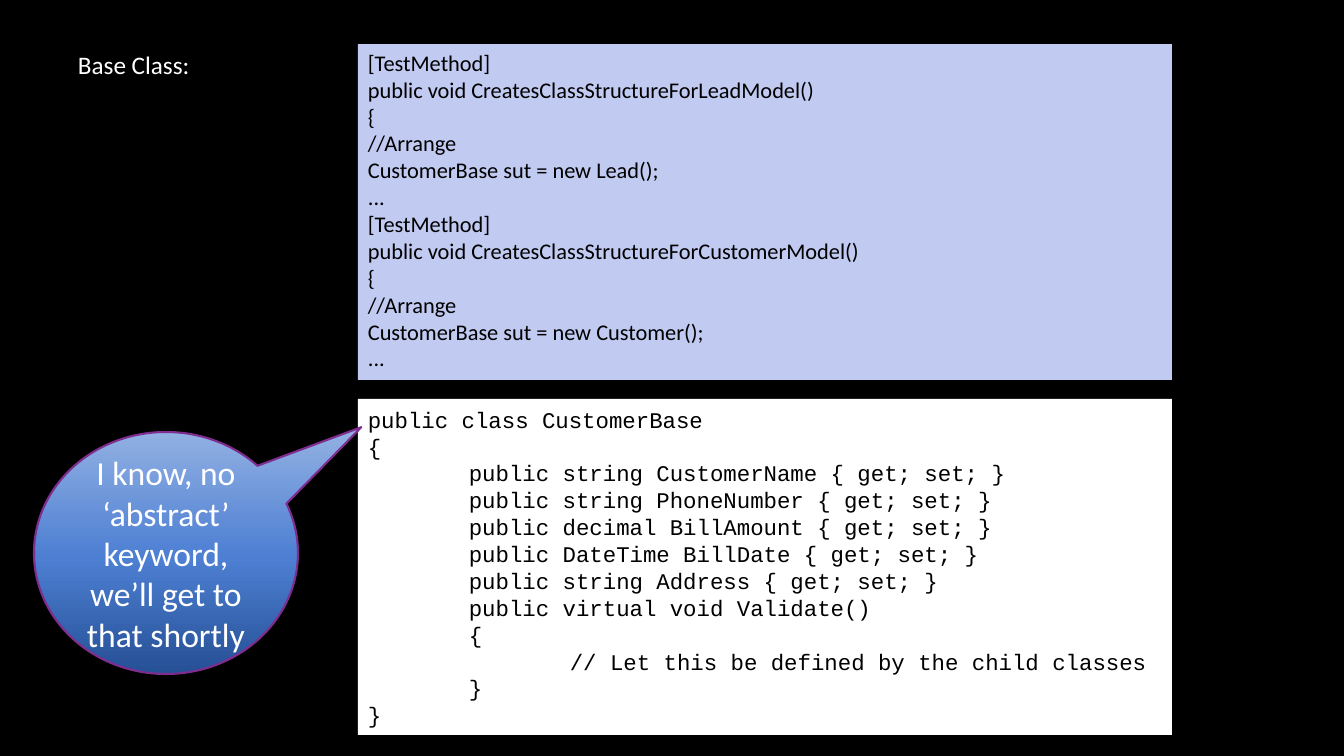
import copy
import lxml.etree
import pptx
import pptx.util
import pptx.dml.color
import pptx.enum.shapes
import pptx.enum.text
import pptx.oxml.ns

KIND = pptx.enum.shapes.MSO_SHAPE
ANCHOR = pptx.enum.text.MSO_ANCHOR
ALIGN = pptx.enum.text.PP_ALIGN
FIT = pptx.enum.text.MSO_AUTO_SIZE

SLIDE = (1344, 756)
LABEL = "Base Class:"
NOTE = "I know, no ‘abstract’ keyword, we’ll get to that shortly"
TESTS = """[TestMethod]
public void CreatesClassStructureForLeadModel()
{
//Arrange
CustomerBase sut = new Lead();
...
[TestMethod]
public void CreatesClassStructureForCustomerModel()
{
//Arrange
CustomerBase sut = new Customer();
..."""
CODE = """public class CustomerBase
{
\tpublic string CustomerName { get; set; }
\tpublic string PhoneNumber { get; set; }
\tpublic decimal BillAmount { get; set; }
\tpublic DateTime BillDate { get; set; }
\tpublic string Address { get; set; }
\tpublic virtual void Validate()
\t{
\t\t// Let this be defined by the child classes
\t}
}"""
LEFT, TOP, WIDE, HIGH, GAP = 358, 44, 814, 336, 19
TABS = (101, 202)
PANELS = [
    (CODE, TOP + HIGH + GAP, "FFFFFF", "Courier New", ANCHOR.MIDDLE),
    (TESTS, TOP, "C1CAF1", "Calibri", ANCHOR.TOP),
]
BLUES = [(0, "265096"), (0.48, "4D7FD2"), (1, "91B0E3")]


def px(count):
    return pptx.util.Emu(round(count * 914400 / 100.8))


def color(code):
    return pptx.dml.color.RGBColor.from_string(code)


def write(shape, text, size, face, ink, align=ALIGN.LEFT):
    frame = shape.text_frame
    frame.text = text
    for line in frame.paragraphs:
        line.alignment = align
        if "\t" in line.text:
            indent(line)
        for run in line.runs:
            run.font.size = pptx.util.Pt(size)
            run.font.name = face
            run.font.color.rgb = color(ink)
    return frame


def indent(line):
    name = pptx.oxml.ns.qn
    tabs = lxml.etree.SubElement(line._p.get_or_add_pPr(), name("a:tabLst"))
    for spot in TABS:
        lxml.etree.SubElement(tabs, name("a:tab"), pos=str(int(px(spot))), algn="l")


def add(slide, kind, *place):
    shape = slide.shapes.add_shape(kind, *map(px, place))
    shape.shadow.inherit = False
    return shape


def panel(slide, text, top, fill, face, anchor):
    box = add(slide, KIND.RECTANGLE, LEFT, top, WIDE, HIGH)
    box.fill.solid()
    box.fill.fore_color.rgb = color(fill)
    box.line.fill.background()
    frame = write(box, text, 16, face, "000000")
    frame.word_wrap = True
    frame.auto_size = FIT.SHAPE_TO_FIT_TEXT
    frame.vertical_anchor = anchor


def label(slide):
    box = slide.shapes.add_textbox(*map(px, (68, TOP, 133, 40)))
    frame = write(box, LABEL, 18, "Calibri", "FFFFFF")
    frame.word_wrap = False
    frame.auto_size = FIT.SHAPE_TO_FIT_TEXT


def bubble(slide):
    shape = add(slide, KIND.OVAL_CALLOUT, 34, 432, 264, 242)
    shape.adjustments[0] = 0.74
    shape.adjustments[1] = -0.52
    shape.fill.gradient()
    shape.fill.gradient_angle = 90
    stops = shape.element.spPr.find(".//" + pptx.oxml.ns.qn("a:gsLst"))
    stops.append(copy.deepcopy(stops[0]))
    for stop, (spot, blue) in zip(shape.fill.gradient_stops, BLUES):
        stop.position = spot
        stop.color.rgb = color(blue)
    shape.line.color.rgb = color("7F2E8F")
    shape.line.width = pptx.util.Pt(1.5)
    frame = write(shape, NOTE, 24, "Calibri", "FFFFFF", ALIGN.CENTER)
    frame.word_wrap = True
    frame.vertical_anchor = ANCHOR.MIDDLE


def main():
    """Build the base class slide and save it."""
    deck = pptx.Presentation()
    deck.slide_width, deck.slide_height = map(px, SLIDE)
    slide = deck.slides.add_slide(deck.slide_layouts[6])
    slide.background.fill.solid()
    slide.background.fill.fore_color.rgb = color("000000")
    code, tests = PANELS
    panel(slide, *code)
    label(slide)
    bubble(slide)
    panel(slide, *tests)
    deck.save("out.pptx")


if __name__ == "__main__":
    main()
